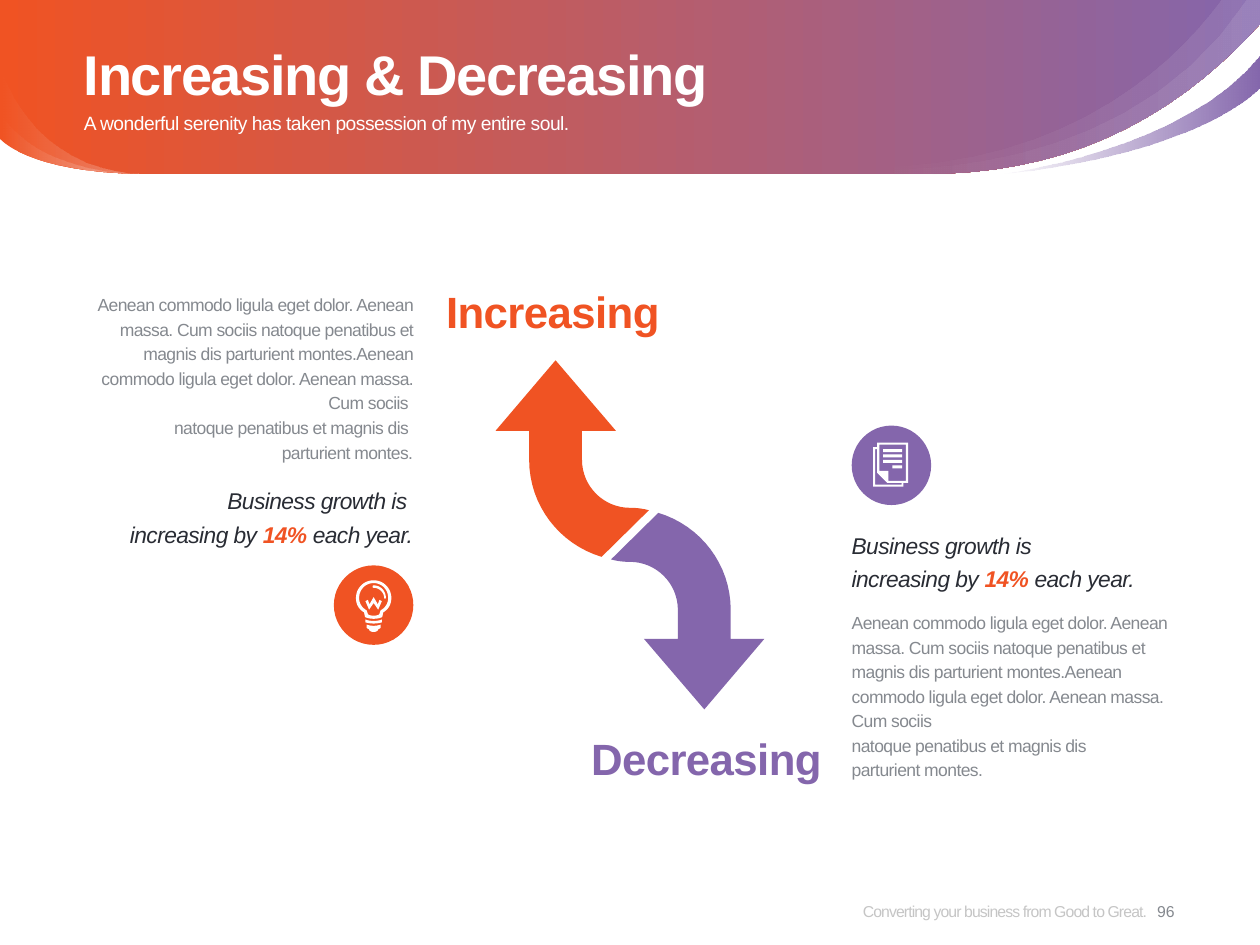
from lxml.etree import SubElement
from pptx import Presentation
from pptx.dml.color import RGBColor
from pptx.enum.shapes import MSO_SHAPE
from pptx.enum.text import MSO_ANCHOR, MSO_AUTO_SIZE, PP_ALIGN
from pptx.oxml.ns import qn
from pptx.util import Pt

ORANGE, PURPLE, WHITE = "F05323", "8466AC", "FFFFFF"
GREY, DARK = "85898F", "292C34"

EDGE = "L 720 0 L 720 13.7 C 665.5 74 602.5 99.4 528.5 99.4"
INNER_EDGE = EDGE + " L 522 99.4 C 491.8 99.4 470.2 94.3 468.7 94.3"
LEFT_EDGE = "C 15.1 98.6 0 79.2 0 79.2"
BAND = f"M 0 0 {EDGE} L 82 99.4 {LEFT_EDGE} Z"
RIBBON = "M 571.7 99.4 C 571.7 99.4 676.8 86.4 720 31 L 720 49.7 C 720 49.7 686.9 87.8 571.7 99.4 Z"
WIDE_SHEEN = f"M 697.7 0 {INNER_EDGE} C 599 103 666.7 41.8 697.7 0 Z"
THIN_SHEEN = f"M 712 0 {INNER_EDGE} C 473.8 95 635 116.6 712 0 Z"
LOW_CORNER = f"M 82 99.4 {LEFT_EDGE} L 0 64.1 C 0 64.1 15.1 97.9 82 99.4 Z"
HIGH_CORNER = f"M 82 99.4 {LEFT_EDGE} L 0 38.2 C 0 38.2 15.1 97.2 82 99.4 Z"

ARROW = (
    "M 370.8 291.6 L 343.8 318.2 C 319.7 311 302.4 288.7 302.4 262.8 L 302.4 246.2 "
    "L 283.2 246.2 L 317.5 205.9 L 352 246.2 L 332.6 246.2 L 332.6 262.8 "
    "C 332.6 277.9 344.9 290.2 360 290.2 C 363.6 290.2 367.2 290.6 370.8 291.6 Z"
)
BULB_GLASS = (
    "M 0 0 C -5.6 0 -10.1 4.5 -10.1 10.1 C -10.1 13.8 -8.4 16.6 -5.5 18.3 L -4.9 21 "
    "C -3.5 21.7 -1.8 22 0 22 C 1.8 22 3.5 21.7 4.9 21 L 5.5 18.3 "
    "C 8.4 16.6 10.1 13.8 10.1 10.1 C 10.1 4.5 5.6 0 0 0 Z "
    "M 4 17.2 L 3.3 19.2 C 3 19.9 1.6 20.2 0 20.2 C -1.6 20.2 -3 19.9 -3.3 19.2 L -4 17.2 "
    "C -6.6 15.7 -8.3 13.2 -8.3 10.1 C -8.3 5.3 -4.6 1.6 0 1.6 "
    "C 4.6 1.6 8.3 5.3 8.3 10.1 C 8.3 13.2 6.6 15.7 4 17.2 Z"
)
BULB_FILAMENT = (
    "M 2.4 13.8 L 0 9.6 L -2.4 13.8 L -3.3 11.2 L -4.7 11.9 L -2.6 16.8 L 0 13 "
    "L 2.6 16.8 L 4.7 11.9 L 3.3 11.2 Z"
)
BULB_GLINT = (
    "M 0 2.9 C -0.8 2.9 -0.8 4.3 0 4.3 C 3.3 4.3 6 7 6 10.1 "
    "C 6 10.6 7 10.6 7 10.1 C 7 6 3.9 2.9 0 2.9 Z"
)
BULB_BASE = (
    "M -4.7 22.4 C -3.3 23 -1.7 23.2 0 23.2 C 1.7 23.2 3.3 23 4.7 22.4 "
    "L 4.7 24 C 3.3 24.5 1.7 24.7 0 24.7 C -1.7 24.7 -3.3 24.5 -4.7 24 Z "
    "M -4 25.3 C -2.7 25.8 -1.4 26 0 26 C 1.4 26 2.7 25.8 4 25.3 L 4 26.9 "
    "C 4 27.4 3.6 27.6 2.7 27.8 C 2.7 28.8 1.6 29.5 0 29.5 "
    "C -1.6 29.5 -2.7 28.8 -2.7 27.8 C -3.6 27.6 -4 27.4 -4 26.9 Z"
)
BULB = " ".join((BULB_GLASS, BULB_FILAMENT, BULB_GLINT, BULB_BASE))
PAGES = (
    "M 2.4 0 L 2.4 2.6 L 0 2.6 L 0 25.2 L 17.4 25.2 L 17.4 23.1 L 20 23.1 L 20 0 Z "
    "M 16.3 24 L 1.2 24 L 1.2 3.7 L 2.4 3.7 L 2.4 17.3 L 8.2 23.1 L 16.3 23.1 Z "
    "M 18.8 21.9 L 8.7 21.9 L 8.7 16.2 L 3.6 16.2 L 3.6 1.2 L 18.8 1.2 Z"
)
DOCUMENT = " ".join([PAGES] + [
    f"M {left} {top} L 16.7 {top} L 16.7 {top + 1.7:.1f} L {left} {top + 1.7:.1f} Z"
    for left, top in ((5.8, 3.7), (5.8, 6.8), (5.8, 9.9), (11, 13))
])
LOREM = (
    "Aenean commodo ligula eget dolor. Aenean massa. Cum sociis natoque penatibus et magnis dis "
    "parturient montes.Aenean commodo ligula eget dolor. Aenean massa. Cum sociis \n"
    "natoque penatibus et magnis dis \nparturient montes."
)


def color(value):
    return RGBColor.from_string(value)


def set_alpha(node, percent):
    SubElement(node, qn("a:alpha")).set("val", str(percent * 1000))


def contours(outline, steps=16):
    result = []
    tokens = iter(outline.split())
    for command in tokens:
        if command == "Z":
            continue
        numbers = [float(next(tokens)) for _ in range(6 if command == "C" else 2)]
        points = list(zip(numbers[::2], numbers[1::2]))
        if command == "M":
            result.append(points)
        elif command == "L":
            result[-1] += points
        else:
            curve = [result[-1][-1], *points]
            for step in range(1, steps + 1):
                t = step / steps
                weights = ((1 - t) ** 3, 3 * t * (1 - t) ** 2, 3 * t * t * (1 - t), t ** 3)
                result[-1].append(tuple(
                    sum(weight * point[axis] for weight, point in zip(weights, curve))
                    for axis in (0, 1)))
    return result


def add_outline(page, outline, fill=None, stops=(), origin=(0, 0), turn=1):
    builder = None
    for contour in contours(outline):
        points = [(Pt(origin[0] + turn * x), Pt(origin[1] + turn * y)) for x, y in contour]
        if builder is None:
            builder = page.shapes.build_freeform(*points[0], scale=1.0)
        else:
            builder.move_to(*points[0])
        builder.add_line_segments(points[1:], close=True)
    shape = builder.convert_to_shape()
    shape.shadow.inherit = False
    shape.line.fill.background()
    if stops:
        shade(shape, stops)
    else:
        shape.fill.solid()
        shape.fill.fore_color.rgb = color(fill)


def shade(shape, stops):
    shape.fill.gradient()
    shape.fill.gradient_angle = 0
    for stop, (position, value, _) in zip(shape.fill.gradient_stops, stops):
        stop.position = position
        stop.color.rgb = color(value)
    for node, (_, _, alpha) in zip(list(shape.element.iter(qn("a:srgbClr"))), stops):
        if alpha < 100:
            set_alpha(node, alpha)


def add_badge(page, left, top, fill, outline, origin):
    circle = page.shapes.add_shape(MSO_SHAPE.OVAL, Pt(left), Pt(top), Pt(45.4), Pt(45.4))
    circle.shadow.inherit = False
    circle.fill.solid()
    circle.fill.fore_color.rgb = color(fill)
    circle.line.fill.background()
    add_outline(page, outline, WHITE, origin=origin)


def place(shape, left, top, width, height):
    shape.left, shape.top, shape.width, shape.height = Pt(left), Pt(top), Pt(width), Pt(height)
    return shape


def add_box(page, *bounds):
    return page.shapes.add_textbox(*map(Pt, bounds))


def write_text(box, *paragraphs, size, fill, bold=False, italic=False, spacing=0, line=None,
               align=PP_ALIGN.LEFT, anchor=MSO_ANCHOR.TOP, grow=False, alpha=100):
    frame = box.text_frame
    frame.word_wrap = True
    frame.auto_size = MSO_AUTO_SIZE.SHAPE_TO_FIT_TEXT if grow else MSO_AUTO_SIZE.NONE
    frame.vertical_anchor = anchor
    frame.margin_left = frame.margin_top = frame.margin_right = frame.margin_bottom = 0
    for index, parts in enumerate(paragraphs):
        para = frame.add_paragraph() if index else frame.paragraphs[0]
        para.alignment = align
        para.space_before = Pt(0)
        if line:
            para.line_spacing = Pt(line)
        for text, accent in [(parts, None)] if isinstance(parts, str) else parts:
            for number, row in enumerate(text.split("\n")):
                if number:
                    para.add_line_break()
                span = para.add_run()
                span.text = row
                span.font.name = "Arial"
                span.font.size = Pt(size)
                span.font.bold = bold or bool(accent)
                span.font.italic = italic
                span.font.color.rgb = color(accent or fill)
                span._r.get_or_add_rPr().set("spc", str(round(spacing * 100)))
    if alpha < 100:
        for node in list(box.element.iter(qn("a:srgbClr"))):
            set_alpha(node, alpha)


def add_header(page):
    add_outline(page, BAND, stops=((0, ORANGE, 100), (1, PURPLE, 100)))
    add_outline(page, RIBBON, stops=((0, PURPLE, 0), (1, PURPLE, 100)))
    for outline, start, alpha in ((WIDE_SHEEN, 0.15, 10), (LOW_CORNER, 0, 30),
                                  (HIGH_CORNER, 0, 30), (THIN_SHEEN, 0.15, 10)):
        add_outline(page, outline, stops=((start, WHITE, 0), (1, WHITE, alpha)))
    title, body = page.placeholders
    for placeholder in (title, body):
        placeholder.element.getparent().append(placeholder.element)
    write_text(place(title, 48, 16.6, 623.5, 46.8), "Increasing & Decreasing", size=32,
               fill=WHITE, bold=True, spacing=-0.8, line=42, anchor=MSO_ANCHOR.MIDDLE)
    properties = body.text_frame.paragraphs[0]._p.get_or_add_pPr()
    properties.set("marL", "0")
    properties.set("indent", "0")
    SubElement(properties, qn("a:buNone"))
    write_text(place(body, 48, 63.4, 623.5, 28),
               "A wonderful serenity has taken possession of my entire soul.",
               size=11, fill=WHITE, spacing=-0.3)


def add_story(page, left, lorem_top, growth_top, opening, align):
    write_text(add_box(page, left, lorem_top, 188, 98.6), LOREM, size=10, fill=GREY,
               spacing=-0.3, line=14, align=align, grow=True)
    write_text(add_box(page, left, growth_top, 188, 38), opening,
               [("increasing by ", None), ("14%", ORANGE), (" each year.", None)], size=13,
               fill=DARK, italic=True, spacing=-0.3, line=19, align=align, grow=True)


def add_heading(page, left, top, text, fill, align):
    write_text(add_box(page, left, top, 188, 30.2), text, size=25, fill=fill, bold=True,
               spacing=-0.3, align=align, grow=True)


def add_footer(page):
    write_text(add_box(page, 434.9, 501, 220.3, 39), "Converting your business from Good to Great.",
               size=9, fill="8C8C8C", spacing=-0.5, align=PP_ALIGN.RIGHT,
               anchor=MSO_ANCHOR.MIDDLE, alpha=50)
    write_text(add_box(page, 649.4, 501, 33.8, 39), "96", size=9, fill=GREY,
               align=PP_ALIGN.CENTER, anchor=MSO_ANCHOR.MIDDLE)


def main():
    deck = Presentation()
    deck.slide_width, deck.slide_height = Pt(720), Pt(540)
    page = deck.slides.add_slide(deck.slide_layouts[1])
    add_header(page)
    add_footer(page)
    add_badge(page, 190.8, 323.1, ORANGE, BULB, (213.5, 331.6))
    add_badge(page, 486.7, 243.2, PURPLE, DOCUMENT, (498.9, 252.9))
    add_outline(page, ARROW, ORANGE)
    add_outline(page, ARROW, PURPLE, origin=(720, 611.3), turn=-1)
    add_story(page, 48, 166.3, 275, "Business growth is ", PP_ALIGN.RIGHT)
    add_heading(page, 254.9, 162.7, "Increasing", ORANGE, PP_ALIGN.LEFT)
    add_heading(page, 281.5, 418.3, "Decreasing", PURPLE, PP_ALIGN.RIGHT)
    add_story(page, 486.7, 347.8, 300.5, "Business growth is", PP_ALIGN.LEFT)
    deck.save("out.pptx")


if __name__ == "__main__":
    main()
